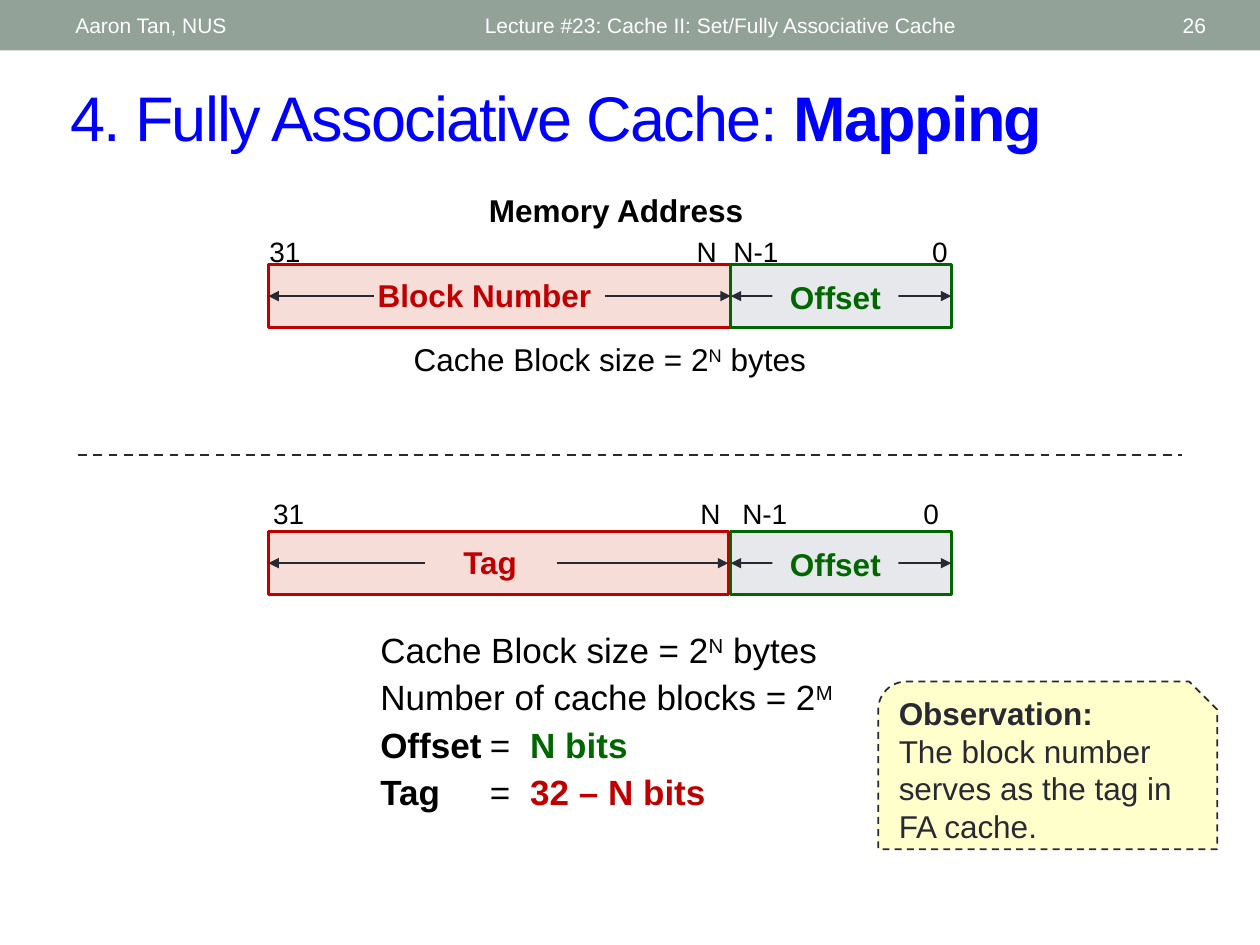
from lxml.etree import SubElement
from pptx import Presentation
from pptx.dml.color import RGBColor
from pptx.enum.dml import MSO_LINE
from pptx.enum.shapes import MSO_CONNECTOR, MSO_SHAPE
from pptx.enum.text import MSO_ANCHOR, PP_ALIGN
from pptx.oxml.ns import qn
from pptx.util import Inches, Pt

WHITE = RGBColor(0xFF, 0xFF, 0xFF)
BLACK = RGBColor(0, 0, 0)
BLUE = RGBColor(0, 0, 0xFF)
SAGE = RGBColor(0x93, 0xA2, 0x99)
RED = RGBColor(0xC0, 0, 0)
PINK = RGBColor(0xF6, 0xDD, 0xD8)
GREEN = RGBColor(0, 0x66, 0)
GREY = RGBColor(0xE6, 0xE8, 0xEC)
INK = RGBColor(0x29, 0x29, 0x34)
YELLOW = RGBColor(0xFF, 0xFF, 0xCC)

BOLD = {"bold": True}
SUPERSCRIPT = {"baseline": 30000}
BIT_WIDTHS = {"31": 0.45, "N": 0.36, "N-1": 0.57, "0": 0.34}


def write(shape, paragraphs, size, color=BLACK, align=PP_ALIGN.LEFT,
          anchor=MSO_ANCHOR.TOP, wrap=True, gap=0):
    frame = shape.text_frame
    frame.word_wrap = wrap
    frame.vertical_anchor = anchor
    for index, parts in enumerate(paragraphs):
        paragraph = frame.paragraphs[0] if index == 0 else frame.add_paragraph()
        paragraph.alignment = align
        if index and gap:
            paragraph.space_before = Pt(gap)
        for text, changes in parts:
            run = paragraph.add_run()
            run.text = text
            values = {"name": "Arial", "size": Pt(size), "color": color, **changes}
            run.font.color.rgb = values.pop("color")
            for key in ("baseline", "spc"):
                if key in values:
                    run._r.get_or_add_rPr().set(key, str(values.pop(key)))
            for key, value in values.items():
                setattr(run.font, key, value)
    return shape


def add_text(slide, box, paragraphs, size, **options):
    shape = slide.shapes.add_textbox(*map(Inches, box))
    return write(shape, paragraphs, size, **options)


def add_box(slide, box, fill, line=None, width=1.5, kind=MSO_SHAPE.RECTANGLE):
    shape = slide.shapes.add_shape(kind, *map(Inches, box))
    shape.shadow.inherit = False
    shape.fill.solid()
    shape.fill.fore_color.rgb = fill
    if line is None:
        shape.line.fill.background()
    else:
        shape.line.color.rgb = line
        shape.line.width = Pt(width)
    return shape


def add_line(slide, start, end, width=1, arrows=()):
    line = slide.shapes.add_connector(
        MSO_CONNECTOR.STRAIGHT, *map(Inches, (*start, *end)))
    line.line.color.rgb = INK
    line.line.width = Pt(width)
    for arrow in arrows:
        SubElement(line.line._get_or_add_ln(), qn(f"a:{arrow}"), type="triangle")
    SubElement(line._element.spPr, qn("a:effectLst"))
    return line


def add_header(slide, box):
    left, top, width, height = box
    add_box(slide, box, SAGE)
    entries = [
        (0.5, 3.17, "Aaron Tan, NUS", PP_ALIGN.LEFT),
        (3.75, 4.5, "Lecture #23: Cache II: Set/Fully Associative Cache", PP_ALIGN.LEFT),
        (8.72, 0.95, "26", PP_ALIGN.RIGHT),
    ]
    for offset, entry_width, text, align in entries:
        add_text(slide, (left + offset, top + 0.02, entry_width, height - 0.04),
                 [[(text, {})]], 12, color=WHITE, align=align,
                 anchor=MSO_ANCHOR.MIDDLE)


def add_title(slide, box):
    add_text(slide, box, [[
        ("4. Fully Associative Cache: ", {"spc": -100}),
        ("Mapping", {"spc": -100, **BOLD}),
    ]], 36, color=BLUE, anchor=MSO_ANCHOR.MIDDLE)


def add_address(slide, box, name, name_box, stubs, bit_centers, bit_rise, seam=0):
    left, top, width, height = box
    offset_width = 1.75
    split = left + width - offset_width
    middle = top + height / 2
    for (text, bit_width), center in zip(BIT_WIDTHS.items(), bit_centers):
        add_text(slide, (left + center - bit_width / 2, top - bit_rise, bit_width, 0.37),
                 [[(text, {})]], 16, align=PP_ALIGN.CENTER, wrap=False)

    block = add_box(slide, (left, top, split - left - seam, height), PINK, RED)
    offset = add_box(slide, (split, top, offset_width, height), GREY, GREEN)
    name_left, name_width = name_box
    add_text(slide, (left + name_left, top + 0.04, name_width, 0.4),
             [[(name, BOLD)]], 18, color=RED, align=PP_ALIGN.CENTER, wrap=False)

    for stub, edge, site in zip(stubs, (left, split - seam), (1, 3)):
        arrow = add_line(slide, (left + stub, middle), (edge, middle), arrows=["tailEnd"])
        arrow.end_connect(block, site)
    span = add_line(slide, (left + width, middle), (split, middle),
                    arrows=["headEnd", "tailEnd"])
    span.begin_connect(offset, 3)
    span.end_connect(offset, 1)
    label = add_box(slide, (split + 0.33, top + 0.06, 1, 0.4), GREY)
    write(label, [[("Offset", BOLD)]], 18, color=GREEN, align=PP_ALIGN.CENTER)


def block_size_parts():
    return [("Cache Block size = 2", {}), ("N", SUPERSCRIPT), (" bytes", {})]


def add_summary(slide, box):
    shape = add_text(slide, box, [
        block_size_parts(),
        [("Number of cache blocks = 2", {}), ("M", SUPERSCRIPT)],
        [("Offset", BOLD), ("\t=\t", {}), ("N bits", {"color": GREEN, **BOLD})],
        [("Tag", BOLD), ("\t=\t", {}), ("32 – N bits", {"color": RED, **BOLD})],
    ], 20, wrap=False, gap=3)
    for paragraph in shape.text_frame.paragraphs[2:]:
        tabs = SubElement(paragraph._p.get_or_add_pPr(), qn("a:tabLst"))
        for stop in (0.87, 1.19):
            SubElement(tabs, qn("a:tab"), pos=str(Inches(stop)), algn="l")


def add_observation(slide, box):
    note = add_box(slide, box, YELLOW, INK, 1, MSO_SHAPE.SNIP_ROUND_RECTANGLE)
    note.line.dash_style = MSO_LINE.DASH
    write(note, [
        [("Observation:", BOLD)],
        [("The block number serves as the tag in FA cache.", {})],
    ], 18, color=INK, anchor=MSO_ANCHOR.MIDDLE)


def main():
    presentation = Presentation()
    presentation.slide_width = Inches(10)
    presentation.slide_height = Inches(7.5)
    slide = presentation.slides.add_slide(presentation.slide_layouts[6])

    add_header(slide, (0, 0, 10, 0.4))
    add_title(slide, (0.46, 0.57, 9.21, 0.7))
    add_text(slide, (3.77, 1.47, 2.24, 0.4), [[("Memory Address", BOLD)]], 18,
             align=PP_ALIGN.CENTER, wrap=False)
    add_address(slide, (2.13, 2.1, 5.42, 0.5), "Block Number", (0.76, 1.91),
                (0.84, 2.67), (0.13, 3.48, 3.87, 5.33), 0.29)
    add_text(slide, (2.38, 2.65, 4.92, 0.4), [block_size_parts()], 18,
             align=PP_ALIGN.CENTER)
    divider = add_line(slide, (0.62, 3.61), (9.38, 3.61), 1.25)
    divider.line.dash_style = MSO_LINE.DASH
    add_address(slide, (2.13, 4.22, 5.42, 0.5), "Tag", (1.06, 1.4),
                (1.24, 2.29), (0.16, 3.51, 3.94, 5.26), 0.33, seam=0.02)
    add_summary(slide, (2.92, 4.94, 3.84, 1.55))
    add_observation(slide, (6.97, 5.41, 2.69, 1.33))
    presentation.save("out.pptx")


if __name__ == "__main__":
    main()
